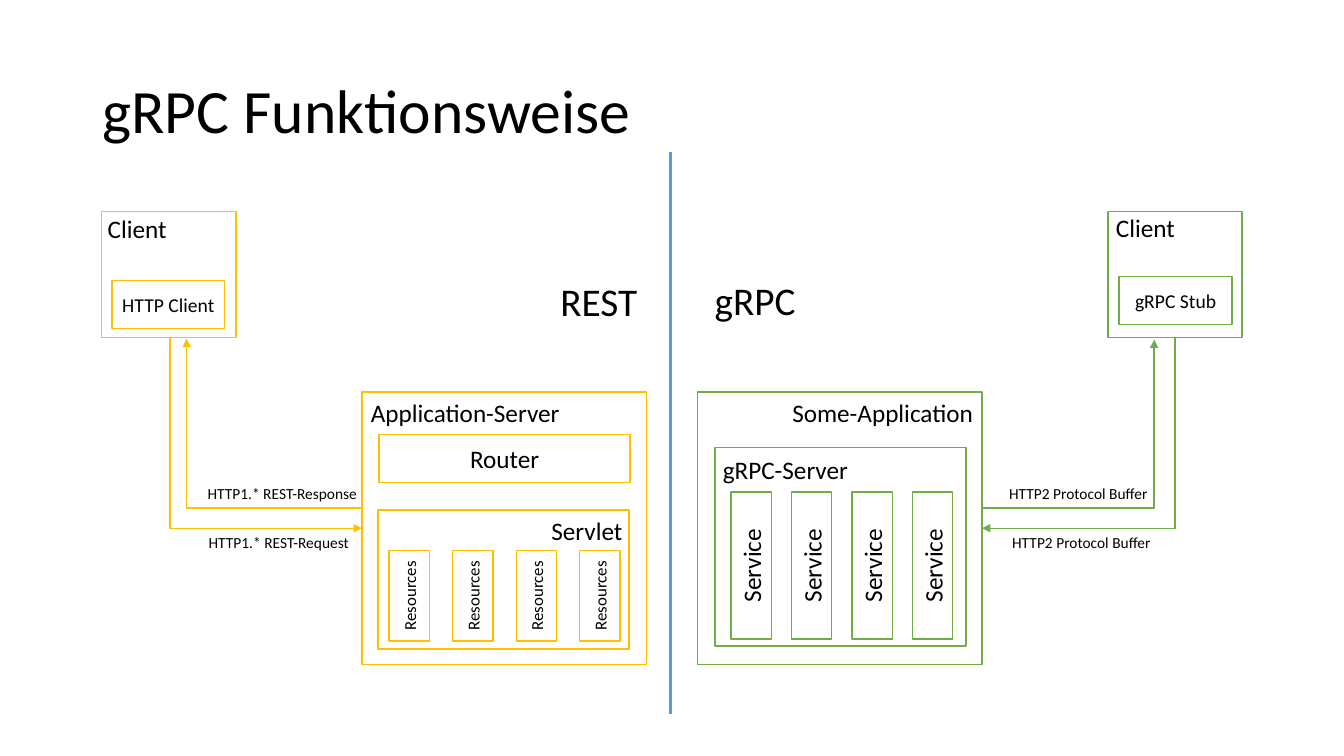
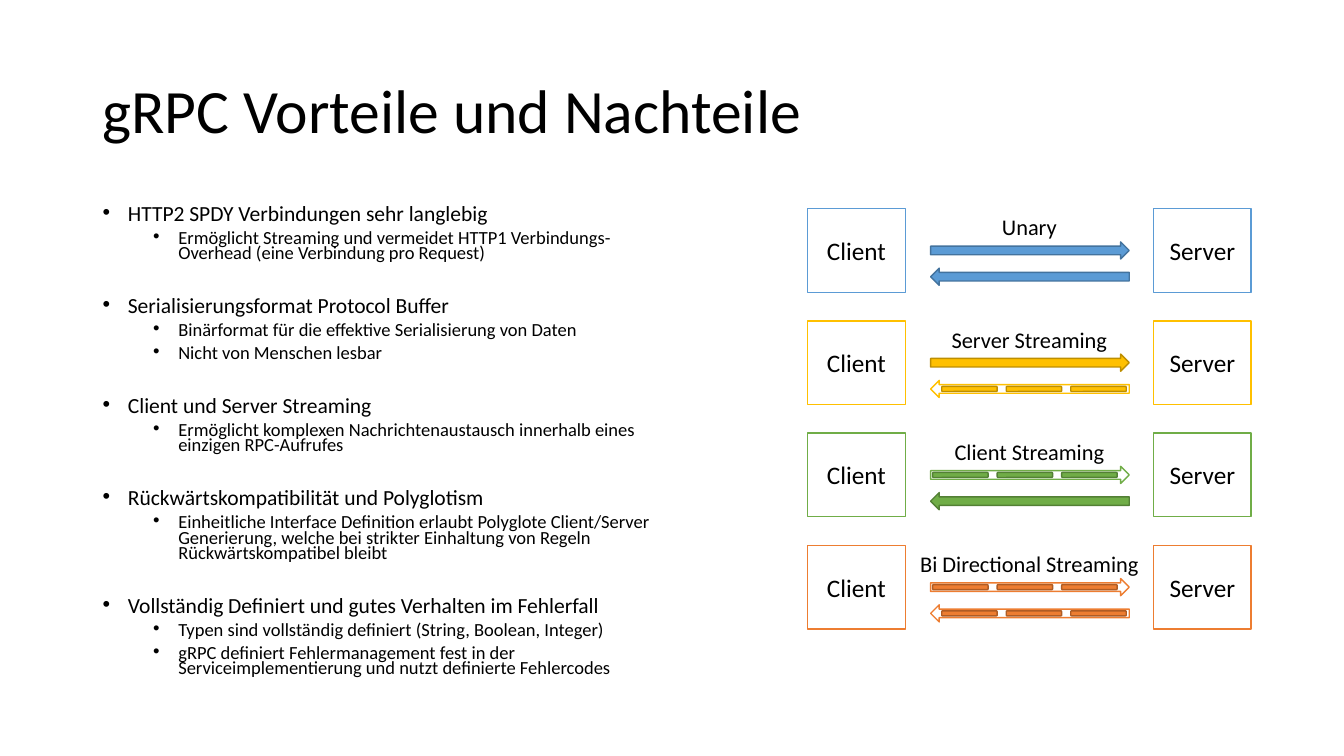
from dataclasses import dataclass

from lxml.etree import SubElement
from pptx import Presentation
from pptx.dml.color import RGBColor
from pptx.enum.shapes import MSO_CONNECTOR, MSO_SHAPE
from pptx.enum.text import MSO_ANCHOR, PP_ALIGN
from pptx.oxml.ns import qn
from pptx.util import Inches, Pt


@dataclass(frozen=True)
class Theme:
    font: str = "Calibri"
    text: str = "000000"
    paper: str = "FFFFFF"
    # Accent colours, each with a darker outline
    blue: tuple = ("5B9BD5", "43739E")
    gold: tuple = ("FFC000", "BD8E00")
    green: tuple = ("70AD47", "538035")
    orange: tuple = ("ED7D31", "AF5C24")
    # Type sizes
    title: float = 44
    side: float = 28
    label: float = 18
    stream: float = 16
    point: float = 15.4
    component: float = 14
    detail: float = 13.2
    resource: float = 12
    note: float = 11


T = Theme()


# Shared helpers
def apply_format(obj, values):
    for name, value in values.items():
        setattr(obj, name, value)


def write(p, text, size):
    r = p.add_run()
    r.text = text
    apply_format(r.font, {"name": T.font, "size": Pt(size)})
    r.font.color.rgb = RGBColor.from_string(T.text)


def add_text(slide, at, text, size, align=PP_ALIGN.LEFT, wrap=True):
    tf = slide.shapes.add_textbox(*map(Inches, at)).text_frame
    tf.word_wrap = wrap
    p = tf.paragraphs[0]
    p.alignment = align
    write(p, text, size)
    return tf


def add_title(slide, text):
    tf = add_text(slide, (0.92, 0.4, 11.5, 1.45), text, T.title)
    tf.vertical_anchor = MSO_ANCHOR.MIDDLE
    tf.paragraphs[0].line_spacing = 0.9


def add_block(slide, at, line, fill=T.paper, kind=MSO_SHAPE.RECTANGLE,
              text="", size=T.label, rotation=0):
    sp = slide.shapes.add_shape(kind, *map(Inches, at))
    sp.shadow.inherit = False
    sp.rotation = rotation
    sp.fill.solid()
    sp.fill.fore_color.rgb = RGBColor.from_string(fill)
    sp.line.color.rgb = RGBColor.from_string(line)
    sp.line.width = Pt(1)
    if text:
        tf = sp.text_frame
        apply_format(tf, {"word_wrap": True,
                          "vertical_anchor": MSO_ANCHOR.MIDDLE,
                          "margin_left": Inches(0.05),
                          "margin_right": Inches(0.05)})
        p = tf.paragraphs[0]
        p.alignment = PP_ALIGN.CENTER
        write(p, text, size)


def add_line(slide, start, end, color, width=1, bend=None):
    """Straight line, or with bend (share of the width) an elbow arrow."""
    kind = MSO_CONNECTOR.STRAIGHT if bend is None else MSO_CONNECTOR.ELBOW
    cx = slide.shapes.add_connector(kind, *map(Inches, start + end))
    cx.line.color.rgb = RGBColor.from_string(color)
    cx.line.width = Pt(width)
    sp_pr = cx._element.spPr
    if bend is not None:
        guides = sp_pr.find(qn("a:prstGeom")).find(qn("a:avLst"))
        SubElement(guides, qn("a:gd"), name="adj1",
                   fmla=f"val {round(bend * 100000)}")
        SubElement(sp_pr.find(qn("a:ln")), qn("a:tailEnd"), type="triangle")
    SubElement(sp_pr, qn("a:effectLst"))


def add_columns(slide, left, step, center_y, length, line, text, size):
    """Four upright boxes whose text reads upwards."""
    width = 0.4
    for i in range(4):
        center_x = left + i * step + width / 2
        at = (center_x - length / 2, center_y - width / 2, length, width)
        add_block(slide, at, line, text=text, size=size, rotation=270)


def add_points(slide, at, points):
    tf = slide.shapes.add_textbox(*map(Inches, at)).text_frame
    tf.word_wrap = True
    p = tf.paragraphs[0]
    for i, (head, details) in enumerate(points):
        rows = [(head, T.point, 0.25, 26 if i else 10)]
        rows += [(detail, T.detail, 0.75, 5) for detail in details]
        for text, size, indent, before in rows:
            if p.runs:
                p = tf.add_paragraph()
            apply_format(p, {"line_spacing": 0.7, "space_before": Pt(before)})
            p_pr = p._p.get_or_add_pPr()
            p_pr.set("marL", str(Inches(indent)))
            p_pr.set("indent", str(Inches(-0.25)))
            SubElement(p_pr, qn("a:buFont"), typeface="Arial")
            SubElement(p_pr, qn("a:buChar"), char="•")
            write(p, text, size)


def add_stream_arrow(slide, top, colors, back, streamed):
    """Wide arrow; a streamed one is hollow with three dashes inside."""
    color, dark = colors
    rotation = 180 if back else 0
    fill, line = (T.paper, color) if streamed else (color, dark)
    add_block(slide, (9.23, top, 1.97, 0.17), line, fill,
              MSO_SHAPE.RIGHT_ARROW, rotation=rotation)
    if streamed:
        left = 9.34 if back else 9.25
        for i in range(3):
            add_block(slide, (left + i * 0.64, top + 0.06, 0.55, 0.05), dark,
                      color, MSO_SHAPE.ROUNDED_RECTANGLE)


# Slides
def build_comparison(slide):
    add_title(slide, "gRPC Funktionsweise")
    gold, green = T.gold[0], T.green[0]

    # Frames, inner areas and named components
    for at, color, text, size in [
        ((3.59, 3.89, 2.82, 2.7), gold, "", T.label),
        ((6.92, 3.89, 2.82, 2.7), green, "", T.label),
        ((1.01, 2.1, 1.33, 1.25), gold, "", T.label),
        ((10.99, 2.1, 1.33, 1.25), green, "", T.label),
        ((3.75, 5.06, 2.49, 1.38), gold, "", T.label),
        ((7.09, 4.44, 2.49, 1.97), green, "", T.label),
        ((3.76, 4.31, 2.49, 0.48), gold, "Router", T.label),
        ((1.11, 2.78, 1.12, 0.48), gold, "HTTP Client", T.component),
        ((11.1, 2.74, 1.12, 0.48), green, "gRPC Stub", T.component),
    ]:
        add_block(slide, at, color, text=text, size=size)
    add_columns(slide, 3.86, 0.63, 5.91, 0.9, gold, "Resources", T.resource)
    add_columns(slide, 7.25, 0.6, 5.61, 1.46, green, "Service", T.label)

    # Requests, responses and the divider
    for start, end, color, bend in [
        ((1.68, 3.35), (3.59, 5.24), gold, 0.003),
        ((11.66, 3.35), (9.74, 5.24), green, 0.003),
        ((3.59, 5.04), (1.85, 3.36), gold, 0.998),
        ((9.74, 5.04), (11.45, 3.37), green, 0.998),
    ]:
        add_line(slide, start, end, color, bend=bend)
    add_line(slide, (6.65, 7.08), (6.65, 1.51), T.blue[0], 2.25)

    # Captions
    for at, text, size in [
        ((3.58, 3.89, 2.25, 0.4), "Application-Server", T.label),
        ((7.76, 3.89, 2, 0.4), "Some-Application", T.label),
        ((0.97, 2.07, 2, 0.4), "Client", T.label),
        ((10.97, 2.06, 2, 0.4), "Client", T.label),
        ((5.37, 5.06, 1.75, 0.4), "Servlet", T.label),
        ((7.07, 4.46, 1.75, 0.4), "gRPC-Server", T.label),
        ((5.46, 2.7, 1.07, 0.57), "REST", T.side),
        ((6.99, 2.69, 2.34, 0.57), "gRPC", T.side),
    ]:
        add_text(slide, at, text, size)
    for at, text in [
        ((1.96, 4.75, 1.71, 0.29), "HTTP1.* REST-Response"),
        ((1.97, 5.24, 1.62, 0.29), "HTTP1.* REST-Request"),
        ((9.91, 4.75, 1.59, 0.29), "HTTP2 Protocol Buffer"),
        ((9.94, 5.24, 1.59, 0.29), "HTTP2 Protocol Buffer"),
    ]:
        add_text(slide, at, text, T.note, wrap=False)


def build_pros_and_cons(slide):
    add_title(slide, "gRPC Vorteile und Nachteile")
    add_points(slide, (0.92, 2, 5.75, 4.76), [
        ("HTTP2 SPDY Verbindungen sehr langlebig", [
            "Ermöglicht Streaming und vermeidet HTTP1 Verbindungs-Overhead "
            "(eine Verbindung pro Request)"]),
        ("Serialisierungsformat Protocol Buffer", [
            "Binärformat für die effektive Serialisierung von Daten",
            "Nicht von Menschen lesbar"]),
        ("Client und Server Streaming", [
            "Ermöglicht komplexen Nachrichtenaustausch innerhalb eines "
            "einzigen RPC-Aufrufes"]),
        ("Rückwärtskompatibilität und Polyglotism", [
            "Einheitliche Interface Definition erlaubt Polyglote "
            "Client/Server Generierung, welche bei strikter Einhaltung von "
            "Regeln Rückwärtskompatibel bleibt"]),
        ("Vollständig Definiert und gutes Verhalten im Fehlerfall", [
            "Typen sind vollständig definiert (String, Boolean, Integer)",
            "gRPC definiert Fehlermanagement fest in der "
            "Serviceimplementierung und nutzt definierte Fehlercodes"]),
    ])

    # Call types: name, colours, streamed request, streamed response
    calls = [
        ("Unary", T.blue, False, False),
        ("Server Streaming", T.gold, False, True),
        ("Client Streaming", T.green, True, False),
        ("Bi Directional Streaming", T.orange, True, True),
    ]
    first, last = 2.07, 5.41
    step = (last - first) / (len(calls) - 1)
    for i, (name, colors, request, response) in enumerate(calls):
        top = first + i * step
        for left, role in ((8.01, "Client"), (11.44, "Server")):
            add_block(slide, (left, top, 0.97, 0.83), colors[0], text=role)
        add_text(slide, (8.98, top, 2.46, 0.37), name, T.stream,
                 PP_ALIGN.CENTER)
        add_stream_arrow(slide, top + 0.33, colors, False, request)
        add_stream_arrow(slide, top + 0.59, colors, True, response)


def main():
    prs = Presentation()
    prs.slide_width, prs.slide_height = Inches(13.33), Inches(7.5)
    for build in (build_comparison, build_pros_and_cons):
        build(prs.slides.add_slide(prs.slide_layouts[6]))
    prs.save("out.pptx")


if __name__ == "__main__":
    main()
